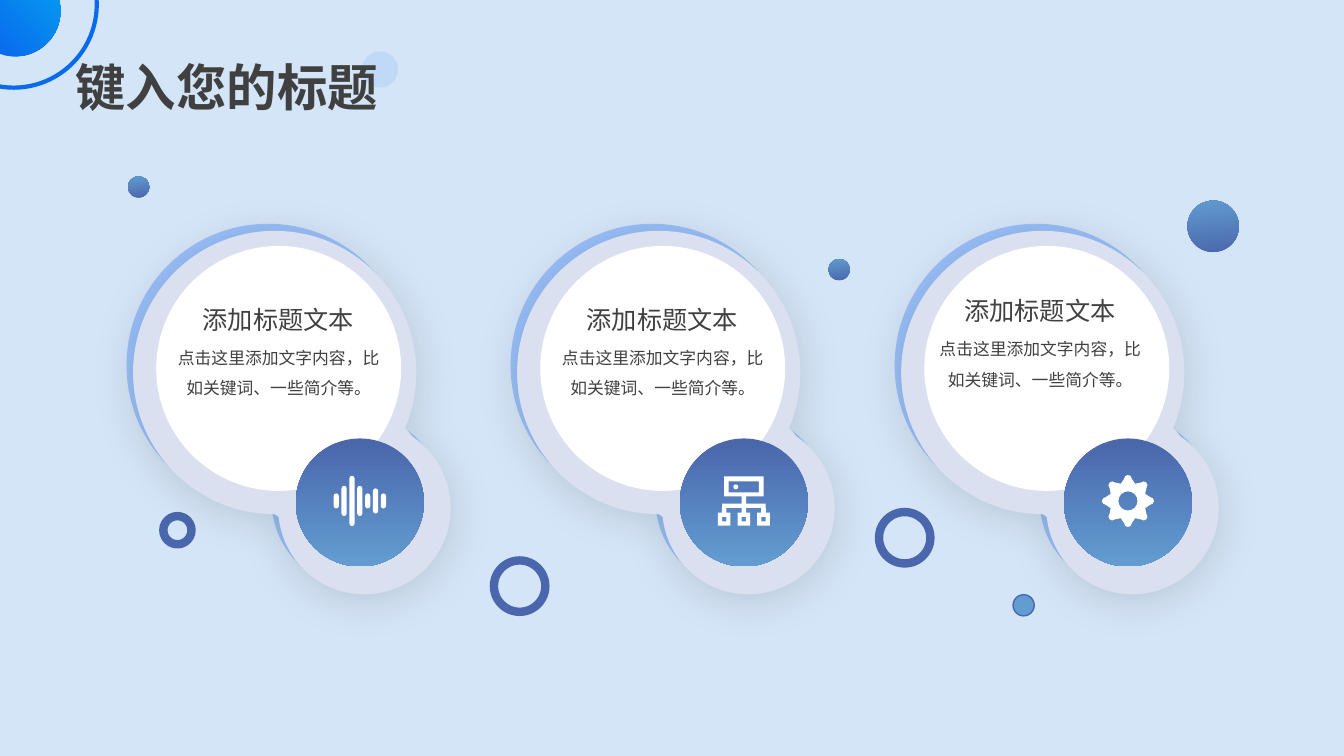
"""Build a slide with three linked circles, icons and captions on a 0.1 inch grid."""
import math

from lxml import etree
from pptx import Presentation
from pptx import util as u
from pptx.dml.color import RGBColor
from pptx.enum import shapes, text
from pptx.oxml import ns

CELL = u.Inches(0.1)
COLS, ROWS = 133.33, 75
PITCH = 38.1
COLORS = {
    "back": "D4E5F7", "ink": "404040", "white": "FFFFFF", "halo": "7AB3FA",
    "rim": "98BFF8", "plate": "DAE0EF", "dark": "4A66AC", "light": "629DD1",
    "deep": "096AED", "bright": "0695F0", "shadow": "000000",
}


def rgb(name):
    return RGBColor.from_string(COLORS[name])


def cells(*values):
    return [u.Emu(round(v * CELL)) for v in values]


def paint(sp, fill=None, line=None, width=0, angle=270):
    """Fill with a colour, or with a gradient when fill is a pair of colours."""
    sp.shadow.inherit = False
    if fill is None:
        sp.fill.background()
    elif isinstance(fill, tuple):
        sp.fill.gradient()
        sp.fill.gradient_angle = angle
        for stop, name in zip(sp.fill.gradient_stops, fill):
            stop.color.rgb = rgb(name)
    else:
        sp.fill.solid()
        sp.fill.fore_color.rgb = rgb(fill)
    if line:
        sp.line.color.rgb = rgb(line)
        sp.line.width = u.Pt(width)
    else:
        sp.line.fill.background()
    return sp


def circle(s, x, y, size, fill=None, line=None, width=0, turn=0):
    sp = s.shapes.add_shape(shapes.MSO_SHAPE.OVAL, *cells(x, y, size, size))
    sp.rotation = turn
    return paint(sp, fill, line, width)


def bend(sp):
    """Turn each three line steps into one curve, or one line if they coincide."""
    steps = list(sp._element.iter(ns.qn("a:lnTo")))
    for trio in zip(steps[::3], steps[1::3], steps[2::3]):
        points = [step[0] for step in trio]
        if len({(pt.get("x"), pt.get("y")) for pt in points}) > 1:
            curve = etree.Element(ns.qn("a:cubicBezTo"))
            trio[0].addprevious(curve)
            curve.extend(points)
            trio[0].getparent().remove(trio[0])
        for step in trio[1:]:
            step.getparent().remove(step)


def outline(s, contours, fill, x=0, y=0, angle=270):
    """Draw closed curved contours, shifted by x and y, as one freeform."""
    moved = [[cells(x + px, y + py) for px, py in c] for c in contours]
    fb = s.shapes.build_freeform(*moved[0][0])
    for i, points in enumerate(moved):
        if i:
            fb.move_to(*points[0])
        fb.add_line_segments(points[1:], close=False)
    sp = fb.convert_to_shape()
    bend(sp)
    return paint(sp, fill, angle=angle)


def polar(cx, cy, r, degree):
    t = math.radians(degree)
    return cx + r * math.cos(t), cy + r * math.sin(t)


def arc(cx, cy, r, start, end):
    """Return the start and the curve points of an arc, cut at quarter turns."""
    quarters = range(90 * math.ceil((start + 1) / 90), math.ceil(end), 90)
    cuts = [start, *quarters, end]
    points = [polar(cx, cy, r, start)]
    for a, b in zip(cuts, cuts[1:]):
        k = 4 / 3 * math.tan(math.radians(b - a) / 4) * r
        (x1, y1), (x2, y2) = polar(cx, cy, r, a), polar(cx, cy, r, b)
        (ax, ay), (bx, by) = polar(0, 0, k, a + 90), polar(0, 0, k, b - 90)
        points += [(x1 + ax, y1 + ay), (x2 + bx, y2 + by), (x2, y2)]
    return points


def chain(*pieces):
    """Join pieces with straight lines into one closed contour."""
    points = list(pieces[0])
    for piece in pieces[1:]:
        points += [piece[0]] * 3 + piece[1:]
    return points + [points[0]] * 3


def rect(x, y, w, h):
    return chain([(x, y)], [(x + w, y)], [(x + w, y + h)], [(x, y + h)])


def blob(s, x, y, fill):
    """Draw a big disc joined to a small one at its lower right."""
    big = arc(14.05, 14.05, 14.05, 90, 383)
    small = arc(22.95, 27.5, 8.55, -56, 174)
    return outline(s, [chain(big, small)], fill, x, y)


def soft_shadow(sp):
    effects = sp._element.spPr.find(ns.qn("a:effectLst"))
    shadow = etree.SubElement(effects, ns.qn("a:outerShdw"), blurRad=str(u.Pt(31)),
                              dist=str(u.Pt(4)), dir="5400000", algn="t", rotWithShape="0")
    color = etree.SubElement(shadow, ns.qn("a:srgbClr"), val=COLORS["shadow"])
    etree.SubElement(color, ns.qn("a:alpha"), val="12000")


def label(s, x, y, w, h, words, size, font="Calibri", bold=False, center=True, spacing=None):
    tf = s.shapes.add_textbox(*cells(x, y, w, h)).text_frame
    tf.word_wrap = True
    p = tf.paragraphs[0]
    p.text = words
    p.alignment = text.PP_ALIGN.CENTER if center else text.PP_ALIGN.LEFT
    if spacing:
        p.line_spacing = spacing
    p.font.name = font
    p.font.size = u.Pt(size)
    p.font.bold = bold
    p.font.color.rgb = rgb("ink")


def wave_icon():
    bars = []
    for i, half in enumerate((0.75, 1.5, 2.5, 1.5, 0.75, 1.25, 0.75)):
        x, reach = (i - 3) * 0.78, half - 0.26
        bars.append(chain(arc(x, -reach, 0.26, 180, 360), arc(x, reach, 0.26, 0, 180)))
    return bars


def network_icon():
    parts = [rect(-1.95, -2.45, 3.9, 2), rect(-1.5, -1.95, 3, 1.1),
             arc(-0.8, -1.4, 0.25, 0, 360),
             rect(-0.23, -0.45, 0.46, 0.7), rect(-2.15, 0.25, 4.3, 0.43)]
    for x in (-1.95, 0, 1.95):
        parts += [rect(x - 0.23, 0.68, 0.46, 0.47), rect(x - 0.62, 1.15, 1.24, 1.3),
                  rect(x - 0.21, 1.57, 0.42, 0.46)]
    return parts


def gear_icon():
    pieces = []
    for turn in range(0, 360, 45):
        tooth = arc(*polar(0, 0, 2.2, turn), 0.38, turn - 90, turn + 90)
        pieces += [tooth, [polar(0, 0, 1.85, turn + 22.5)]]
    return [chain(*pieces), arc(0, 0, 0.95, 0, 360)[::-1]]


def header(s):
    halo = circle(s, 35.9, 5.1, 3.6, "halo")
    color = halo._element.spPr.find(ns.qn("a:solidFill"))[0]
    etree.SubElement(color, ns.qn("a:alpha"), val="23000")
    circle(s, -6.9, -7.8, 16.5, line="deep", width=3)
    corner = chain(arc(1.5, 1.1, 4.5, -14, 110), [(0, 0)])
    outline(s, [corner], ("deep", "bright"), angle=45)
    label(s, 6.5, 5.1, 36.8, 7.1, "键入您的标题", 36, "Noto Sans CJK SC", True, False)


def ornaments(s):
    for x, y, size in ((12.7, 17.5, 2.1), (117.8, 19.9, 5.1), (82.2, 25.7, 2.1)):
        circle(s, x, y, size, ("dark", "light"), turn=174)
    for x, y, size in ((49, 55.6, 5.1), (16.2, 51.2, 2.8), (87.2, 50.8, 5.1)):
        circle(s, x, y, size, line="dark", width=6)
    circle(s, 100.5, 59, 2.1, "light", "dark", 1)


def card(s, x, icon, dx, dy):
    """Draw one linked pair of circles with its icon and its shifted caption."""
    blob(s, x, 22.2, "rim")
    soft_shadow(blob(s, x + 0.65, 22.9, "plate"))
    circle(s, x + 2.95, 24.4, 24.3, "white")
    circle(s, x + 16.8, 43.5, 12.7, ("dark", "light"))
    outline(s, icon, "white", x + 23.15, 49.7)
    label(s, x + 3.7 + dx, 33 + dy, 22.8, 7.1,
          "点击这里添加文字内容，比如关键词、一些简介等。", 12, spacing=1.5)
    label(s, x + 5.15 + dx, 29.7 + dy, 19.8, 4, "添加标题文本", 18)


def main():
    prs = Presentation()
    prs.slide_width, prs.slide_height = cells(COLS, ROWS)
    s = prs.slides.add_slide(prs.slide_layouts[6])
    s.background.fill.solid()
    s.background.fill.fore_color.rgb = rgb("back")
    header(s)
    ornaments(s)
    cards = ((wave_icon(), 0, 0), (network_icon(), 0, 0), (gear_icon(), -0.65, -0.85))
    for i, (icon, dx, dy) in enumerate(cards):
        card(s, 12.55 + i * PITCH, icon, dx, dy)
    prs.save("out.pptx")


if __name__ == "__main__":
    main()
